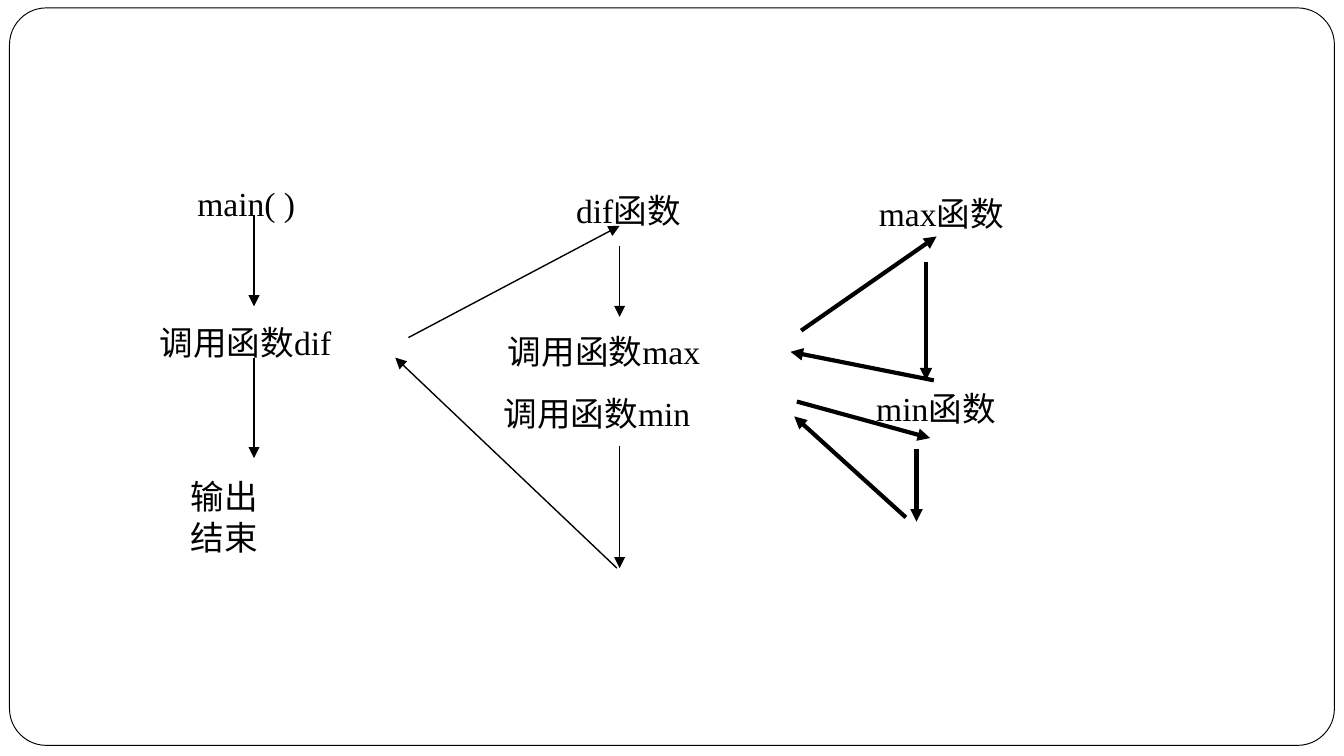
"""Draw the call sequence of main, dif, max and min on one slide."""
from typing import NamedTuple

from lxml.etree import SubElement
from pptx import Presentation
from pptx.dml.color import RGBColor
from pptx.enum.shapes import MSO_CONNECTOR, MSO_SHAPE
from pptx.enum.text import MSO_ANCHOR, PP_ALIGN
from pptx.oxml.ns import qn
from pptx.slide import Slide
from pptx.util import Cm, Pt

BLACK = RGBColor(0x00, 0x00, 0x00)
WHITE = RGBColor(0xFF, 0xFF, 0xFF)
FONT = "Times New Roman"
THIN, THICK = 0.75, 2.25
MAIN_X, DIF_X = 4.8, 11.71


class Label(NamedTuple):
    lines: tuple[str, ...]
    left: float
    top: float
    width: float
    height: float = 1.75


class Arrow(NamedTuple):
    x1: float
    y1: float
    x2: float
    y2: float
    weight: float = THIN


LABELS = [
    Label(("main( )",), 3.48, 2.97, 2.74),
    Label(("调用函数dif",), 2.77, 5.59, 4.6),
    Label(("输出", "结束"), 3.35, 8.23, 2.24, 3.07),
    Label(("dif函数",), 10.64, 3.1, 3.0),
    Label(("max函数",), 16.36, 3.15, 3.48),
    Label(("调用函数max",), 9.35, 5.77, 5.08),
    Label(("调用函数min",), 9.27, 6.93, 4.98),
    Label(("min函数",), 16.31, 6.83, 3.38),
]

ARROWS = [
    Arrow(MAIN_X, 4.06, MAIN_X, 5.79),
    Arrow(MAIN_X, 6.76, MAIN_X, 8.66),
    Arrow(7.72, 6.38, DIF_X, 4.27),
    Arrow(DIF_X, 4.65, DIF_X, 5.99),
    Arrow(DIF_X, 8.43, DIF_X, 10.74),
    Arrow(11.66, 10.74, 7.47, 6.76),
    Arrow(15.14, 6.25, 17.7, 4.47, THICK),
    Arrow(17.5, 4.95, 17.5, 7.19, THICK),
    Arrow(17.65, 7.19, 14.94, 6.65, THICK),
    Arrow(15.06, 7.59, 17.58, 8.28, THICK),
    Arrow(17.32, 8.48, 17.32, 9.86, THICK),
    Arrow(17.12, 9.78, 15.01, 7.87, THICK),
]


def draw_frame(s: Slide) -> None:
    sp = s.shapes.add_shape(MSO_SHAPE.ROUNDED_RECTANGLE,
                            Cm(0.18), Cm(0.15), Cm(25.04), Cm(13.94))
    sp.adjustments[0] = 0.05
    sp.shadow.inherit = False
    sp.fill.solid()
    sp.fill.fore_color.rgb = WHITE
    sp.line.color.rgb = BLACK
    sp.line.width = Pt(0.5)


def draw_label(s: Slide, label: Label) -> None:
    sp = s.shapes.add_textbox(Cm(label.left), Cm(label.top),
                              Cm(label.width), Cm(label.height))
    tf = sp.text_frame
    tf.word_wrap = True
    tf.vertical_anchor = MSO_ANCHOR.MIDDLE
    tf.text = "\n".join(label.lines)
    for p in tf.paragraphs:
        p.alignment = PP_ALIGN.LEFT
        p.font.name = FONT
        p.font.size = Pt(18)
        p.font.color.rgb = BLACK


def draw_arrow(s: Slide, arrow: Arrow) -> None:
    sp = s.shapes.add_connector(MSO_CONNECTOR.STRAIGHT,
                                Cm(arrow.x1), Cm(arrow.y1), Cm(arrow.x2), Cm(arrow.y2))
    sp.line.color.rgb = BLACK
    sp.line.width = Pt(arrow.weight)
    SubElement(sp.line._get_or_add_ln(), qn("a:tailEnd"), type="triangle")
    SubElement(sp._element.spPr, qn("a:effectLst"))


def main() -> None:
    prs = Presentation()
    prs.slide_width, prs.slide_height = Cm(25.4), Cm(14.29)
    s = prs.slides.add_slide(prs.slide_layouts[6])
    draw_frame(s)
    for label in LABELS:
        draw_label(s, label)
    for arrow in ARROWS:
        draw_arrow(s, arrow)
    prs.save("out.pptx")


if __name__ == "__main__":
    main()
